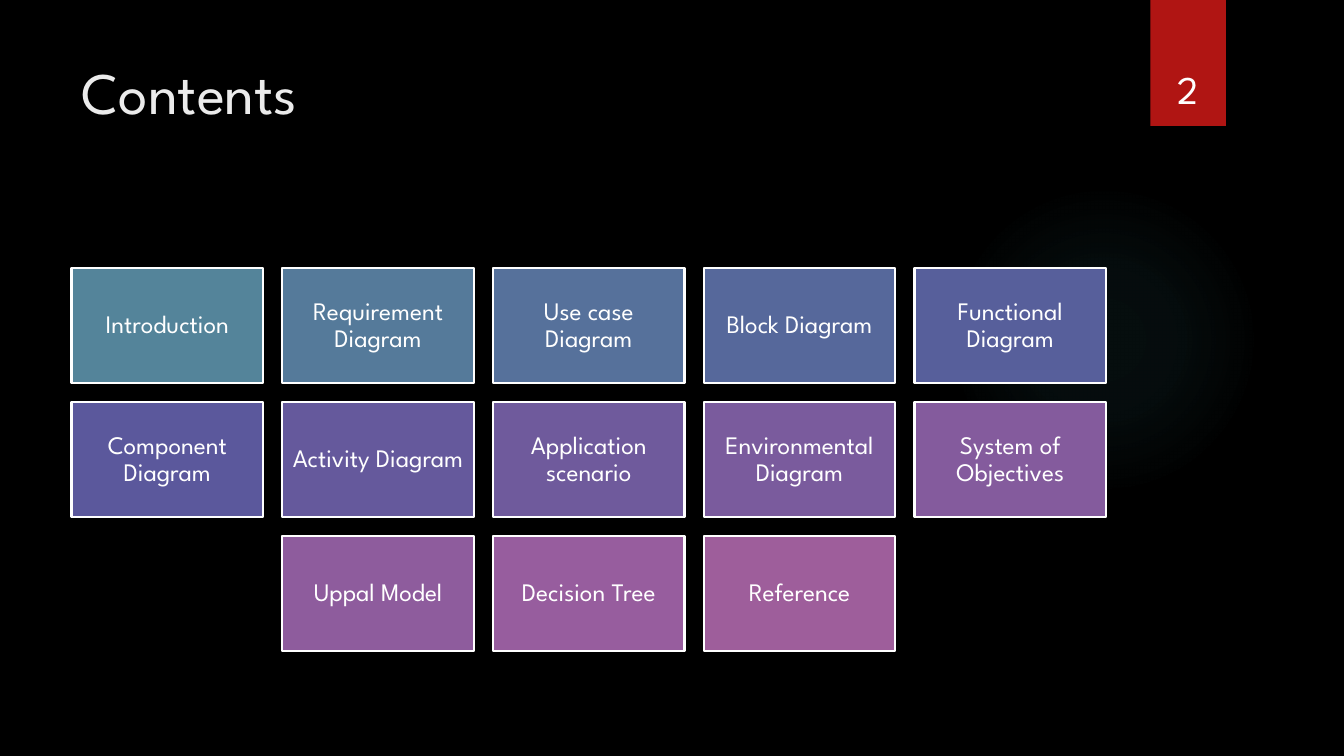
"""Build the contents slide: a centred grid of topic tiles on a black page."""
import lxml.etree
import pptx
import pptx.dml.color
import pptx.enum.shapes
import pptx.enum.text
import pptx.oxml.ns
import pptx.util

EMU_PER_PX = 9144
FONT = "League Spartan"
COLORS = {
    "page": "000000",
    "glow": "50B9C1",
    "tab": "B01513",
    "title": "EBEBEB",
    "white": "FFFFFF",
}
TOPICS = {
    "Introduction": "54849A",
    "Requirement Diagram": "557A9A",
    "Use case Diagram": "56719B",
    "Block Diagram": "56689B",
    "Functional Diagram": "575F9B",
    "Component Diagram": "5B589C",
    "Activity Diagram": "65599C",
    "Application scenario": "6F5A9C",
    "Environmental Diagram": "7A5B9D",
    "System of Objectives": "845B9D",
    "Uppal Model": "8E5C9D",
    "Decision Tree": "975D9E",
    "Reference": "9E5E9B",
}
COLUMNS = 5
GRID_LEFT, GRID_TOP = 71, 266
TILE_WIDTH, TILE_HEIGHT = 190, 114
GAP = 19
SHAPES = pptx.enum.shapes.MSO_SHAPE
ANCHOR = pptx.enum.text.MSO_ANCHOR
ALIGN = pptx.enum.text.PP_ALIGN


def px(length):
    return pptx.util.Emu(length * EMU_PER_PX)


def rgb(value):
    return pptx.dml.color.RGBColor.from_string(value)


def write(shape, text, size, color, align, anchor):
    frame = shape.text_frame
    frame.text = text
    frame.word_wrap = True
    frame.auto_size = pptx.enum.text.MSO_AUTO_SIZE.NONE
    frame.vertical_anchor = anchor
    para = frame.paragraphs[0]
    para.alignment = align
    font = para.runs[0].font
    font.name = FONT
    font.size = pptx.util.Pt(size)
    font.color.rgb = rgb(color)
    return frame


def add_block(page, kind, left, top, width, height, color):
    block = page.shapes.add_shape(kind, px(left), px(top), px(width), px(height))
    block.shadow.inherit = False
    block.fill.solid()
    block.fill.fore_color.rgb = rgb(color)
    block.line.fill.background()
    return block


def add_glow(page):
    glow = add_block(page, SHAPES.OVAL, 941, 183, 308, 308, COLORS["glow"])
    qn = pptx.oxml.ns.qn
    solid = glow.element.spPr.find(qn("a:solidFill"))
    gradient = lxml.etree.Element(qn("a:gradFill"), rotWithShape="1")
    stops = lxml.etree.SubElement(gradient, qn("a:gsLst"))
    for position, alpha in ((0, 7), (36, 6), (69, 0)):
        stop = lxml.etree.SubElement(stops, qn("a:gs"), pos=str(position * 1000))
        color = lxml.etree.SubElement(stop, qn("a:srgbClr"), val=COLORS["glow"])
        lxml.etree.SubElement(color, qn("a:alpha"), val=str(alpha * 1000))
    circle = lxml.etree.SubElement(gradient, qn("a:path"))
    circle.set("path", "circle")
    lxml.etree.SubElement(
        circle, qn("a:fillToRect"), dict.fromkeys("ltrb", "50000"))
    solid.getparent().replace(solid, gradient)


def add_title(page, text):
    title = page.shapes.title
    title.left, title.top = px(71), px(50)
    title.width, title.height = px(1029), px(153)
    write(title, text, 42, COLORS["title"], ALIGN.LEFT, ANCHOR.TOP)


def add_page_number(page, number):
    box = page.shapes.add_textbox(px(1132), px(32), px(92), px(84))
    write(box, number, 28, COLORS["white"], ALIGN.CENTER, ANCHOR.BOTTOM)


def add_tile(page, left, top, label, color):
    tile = add_block(
        page, SHAPES.RECTANGLE, left, top, TILE_WIDTH, TILE_HEIGHT, color)
    tile.line.color.rgb = rgb(COLORS["white"])
    tile.line.width = pptx.util.Pt(1.5)
    frame = write(tile, label, 18, COLORS["white"], ALIGN.CENTER, ANCHOR.MIDDLE)
    frame.margin_left = frame.margin_right = px(7)
    frame.margin_top = frame.margin_bottom = px(7)
    frame.paragraphs[0].line_spacing = 0.9
    frame.paragraphs[0].space_after = pptx.util.Pt(6.3)


def add_tiles(page):
    topics = list(TOPICS.items())
    for row, start in enumerate(range(0, len(topics), COLUMNS)):
        row_topics = topics[start:start + COLUMNS]
        indent = (COLUMNS - len(row_topics)) // 2
        for column, (label, color) in enumerate(row_topics, indent):
            left = GRID_LEFT + column * (TILE_WIDTH + GAP)
            top = GRID_TOP + row * (TILE_HEIGHT + GAP)
            add_tile(page, left, top, label, color)


def main():
    deck = pptx.Presentation()
    deck.slide_width, deck.slide_height = px(1333), px(750)
    page = deck.slides.add_slide(deck.slide_layouts[5])
    page.background.fill.solid()
    page.background.fill.fore_color.rgb = rgb(COLORS["page"])
    add_glow(page)
    add_block(page, SHAPES.RECTANGLE, 1141, 0, 75, 125, COLORS["tab"])
    add_title(page, "Contents")
    add_tiles(page)
    add_page_number(page, "2")
    deck.save("out.pptx")


if __name__ == "__main__":
    main()
